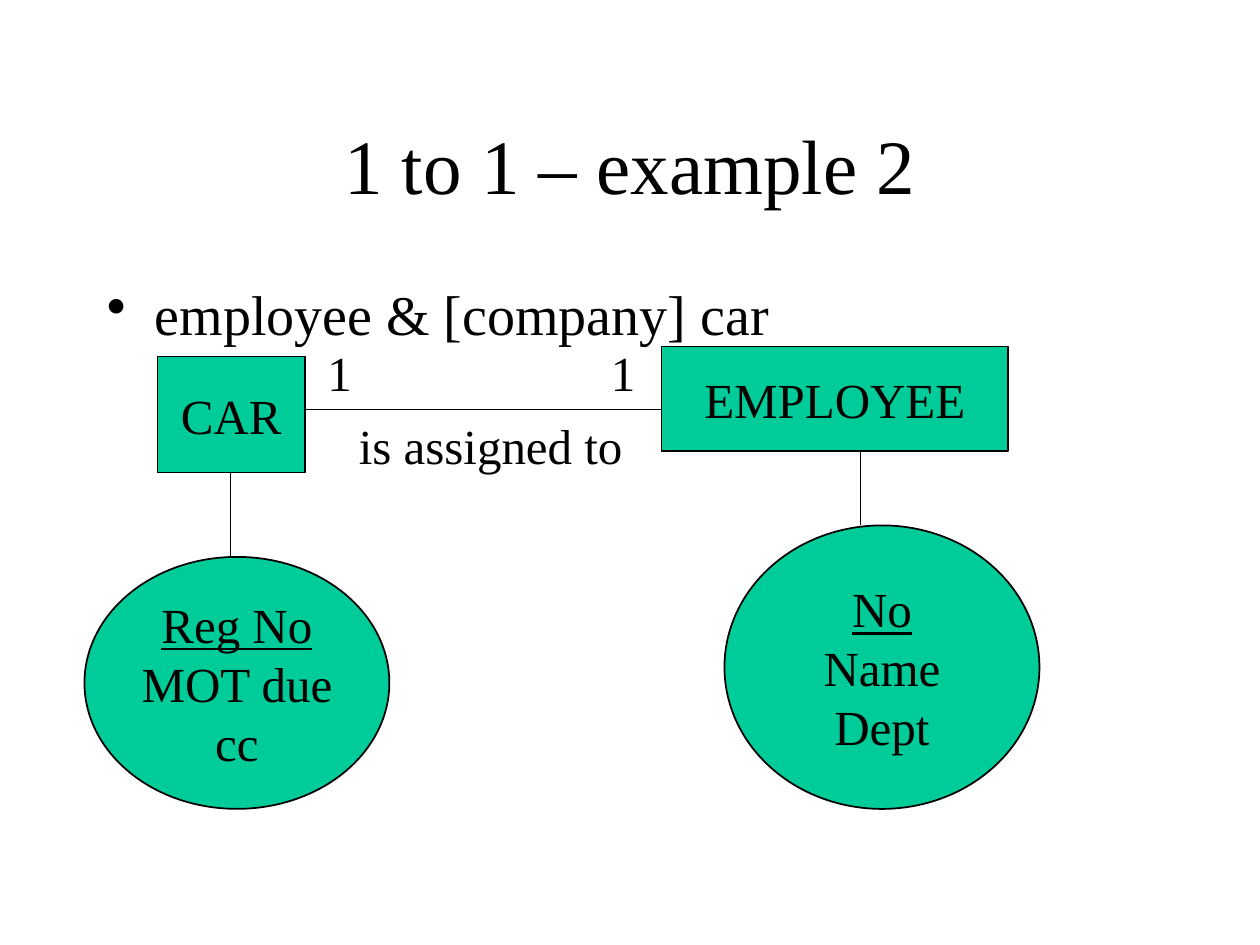
from lxml import etree
from pptx import Presentation
from pptx.dml.color import RGBColor
from pptx.enum.shapes import MSO_CONNECTOR, MSO_SHAPE
from pptx.enum.text import MSO_ANCHOR, PP_ALIGN
from pptx.oxml.ns import qn
from pptx.util import Inches, Pt

RECT, OVAL = MSO_SHAPE.RECTANGLE, MSO_SHAPE.OVAL
LEFT, CENTER = PP_ALIGN.LEFT, PP_ALIGN.CENTER
TOP, MIDDLE = MSO_ANCHOR.TOP, MSO_ANCHOR.MIDDLE
STRAIGHT = MSO_CONNECTOR.STRAIGHT

FONT = "Times New Roman"
COLORS = {"ink": "000000", "node": "00CC99"}

TITLE = "1 to 1 – example 2"
POINT = "employee & [company] car"

# Boxes are left, top, width, height; the first attribute is the key.
ENTITIES = [
    {"name": "CAR", "box": (1.25, 2.83, 1.17, 0.92),
     "attrs": ["Reg No", "MOT due", "cc"],
     "oval": (0.67, 4.42, 2.42, 2), "stem": 1.83},
    {"name": "EMPLOYEE", "box": (5.25, 2.75, 2.75, 0.83),
     "attrs": ["No", "Name", "Dept"],
     "oval": (5.75, 4.17, 2.5, 2.25), "stem": 6.83},
]
LINK_Y = 3.25
LABELS = [
    ("is assigned to", (2.75, LINK_Y, 2.33, 0.57), True),
    ("1", (2.5, 2.67, 0.39, 0.57), False),
    ("1", (4.75, 2.67, 0.39, 0.57), False),
]


def color(name):
    return RGBColor.from_string(COLORS[name])


def write(shape, lines, size=28, align=LEFT, anchor=TOP, wrap=False, key=False):
    """Fill a shape with lines of text; key underlines the first one."""
    frame = shape.text_frame
    frame.word_wrap = wrap
    frame.vertical_anchor = anchor
    for i, line in enumerate(lines):
        para = frame.paragraphs[0] if i == 0 else frame.add_paragraph()
        para.alignment = align
        run = para.add_run()
        run.text = line
        font = run.font
        font.name, font.size = FONT, Pt(size)
        font.color.rgb = color("ink")
        font.underline = key and i == 0
    return frame


def add_text(slide, text, box, **style):
    shape = slide.shapes.add_textbox(*map(Inches, box))
    return write(shape, [text], **style)


def add_node(slide, kind, box, lines, key=False):
    shape = slide.shapes.add_shape(kind, *map(Inches, box))
    shape.shadow.inherit = False
    shape.fill.solid()
    shape.fill.fore_color.rgb = color("node")
    shape.line.color.rgb = color("ink")
    shape.line.width = Pt(1)
    write(shape, lines, align=CENTER, anchor=MIDDLE, key=key)


def add_line(slide, *ends):
    line = slide.shapes.add_connector(STRAIGHT, *map(Inches, ends))
    line.line.color.rgb = color("ink")
    line.line.width = Pt(1)
    etree.SubElement(line._element.spPr, qn("a:effectLst"))


def add_bullet(para, indent):
    para.space_before = Pt(8)
    props = para._p.get_or_add_pPr()
    props.set("marL", str(Inches(indent)))
    props.set("indent", str(-Inches(indent)))
    etree.SubElement(props, qn("a:buChar")).set("char", "•")


def main():
    deck = Presentation()
    deck.slide_width, deck.slide_height = Inches(10), Inches(7.5)
    slide = deck.slides.add_slide(deck.slide_layouts[6])

    add_text(slide, TITLE, (0.75, 0.67, 8.5, 1.25), size=44,
             align=CENTER, anchor=MIDDLE, wrap=True)
    body = add_text(slide, POINT, (0.75, 2.17, 8.5, 4.5), size=32, wrap=True)
    add_bullet(body.paragraphs[0], 0.38)

    for item in ENTITIES:
        _, top, _, height = item["box"]
        add_node(slide, RECT, item["box"], [item["name"]])
        add_node(slide, OVAL, item["oval"], item["attrs"], key=True)
        add_line(slide, item["stem"], top + height,
                 item["stem"], item["oval"][1])

    car, staff = (item["box"] for item in ENTITIES)
    add_line(slide, car[0] + car[2], LINK_Y, staff[0], LINK_Y)
    for text, box, wrap in LABELS:
        add_text(slide, text, box, wrap=wrap)

    deck.save("out.pptx")


if __name__ == "__main__":
    main()
